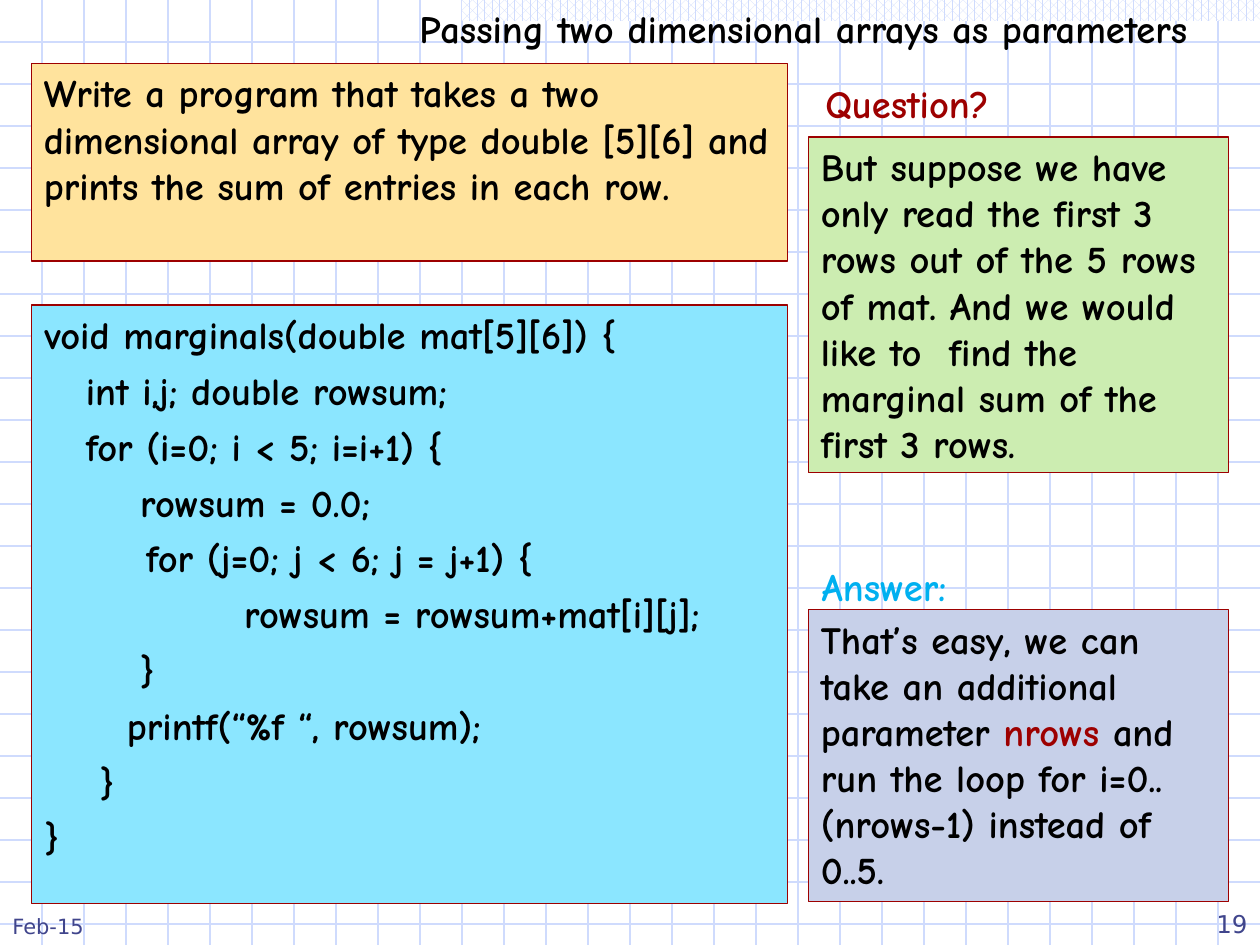
from dataclasses import dataclass

import lxml.etree
import pptx
import pptx.dml.color
import pptx.enum.dml
import pptx.enum.shapes
import pptx.enum.text
import pptx.oxml.ns
import pptx.util

Pt = pptx.util.Pt
ALIGN = pptx.enum.text.PP_ALIGN
ANCHOR = pptx.enum.text.MSO_ANCHOR
WIDTH, HEIGHT, GRID_STEP = 720, 540, 24
COLORS = {
    "black": "000000", "red": "9D0000", "sky": "00B0F0", "navy": "40458C",
    "code": "8BE6FF", "task": "FFE39D", "question": "CCEDB1",
    "answer": "C7D0E9", "band": "CFDBFD", "white": "FFFFFF",
}


@dataclass
class Line:
    runs: list[tuple[str, str]]
    indent: float = 0
    before: float = 0


@dataclass
class Box:
    left: float
    top: float
    width: float
    height: float
    lines: list[Line]
    fill: str | None = None
    size: float = 22
    font: str = "Comic Neue"
    bold: bool = True
    align: ALIGN = ALIGN.LEFT
    anchor: ANCHOR = ANCHOR.TOP


def rgb(name: str) -> pptx.dml.color.RGBColor:
    """Return the named colour."""
    return pptx.dml.color.RGBColor.from_string(COLORS[name])


def text(words: str, color: str = "black") -> list[Line]:
    """Return a single paragraph in one colour."""
    return [Line([(words, color)])]


def add_rect(s, left: float, top: float, width: float, height: float):
    """Add a rectangle without a shadow."""
    sp = s.shapes.add_shape(pptx.enum.shapes.MSO_SHAPE.RECTANGLE,
                            Pt(left), Pt(top), Pt(width), Pt(height))
    sp.shadow.inherit = False
    return sp


def add_grid_line(s, x1: float, y1: float, x2: float, y2: float) -> None:
    """Draw one line of the background grid."""
    line = s.shapes.add_connector(pptx.enum.shapes.MSO_CONNECTOR.STRAIGHT,
                                  Pt(x1), Pt(y1), Pt(x2), Pt(y2))
    line.line.color.rgb = rgb("band")
    line.line.width = Pt(0.75)
    lxml.etree.SubElement(line._element.spPr, pptx.oxml.ns.qn("a:effectLst"))


def add_grid(s) -> None:
    """Draw the background grid across the slide."""
    for y in range(GRID_STEP, HEIGHT, GRID_STEP):
        add_grid_line(s, 0, y, WIDTH, y)
    for x in range(GRID_STEP, WIDTH, GRID_STEP):
        add_grid_line(s, x, 0, x, HEIGHT)


def add_band(s) -> None:
    """Draw the patterned band along the top edge."""
    sp = add_rect(s, 264, 0, 456, 12)
    sp.fill.patterned()
    sp.fill.pattern = pptx.enum.dml.MSO_PATTERN.PERCENT_60
    sp.fill.fore_color.rgb = rgb("band")
    sp.fill.back_color.rgb = rgb("white")
    sp.line.fill.background()


def add_box(s, box: Box) -> None:
    """Draw a framed panel or a plain text box."""
    place = box.left, box.top, box.width, box.height
    if box.fill:
        sp = add_rect(s, *place)
        sp.fill.solid()
        sp.fill.fore_color.rgb = rgb(box.fill)
        sp.line.color.rgb = rgb("red")
        sp.line.width = Pt(0.75)
    else:
        sp = s.shapes.add_textbox(*map(Pt, place))
    tf = sp.text_frame
    tf.word_wrap = True
    tf.vertical_anchor = box.anchor
    for i, line in enumerate(box.lines):
        p = tf.add_paragraph() if i else tf.paragraphs[0]
        p.alignment = box.align
        p.space_before = Pt(line.before)
        p.font.size, p.font.name, p.font.bold = Pt(box.size), box.font, box.bold
        if line.indent:
            p._p.get_or_add_pPr().set("marL", str(Pt(line.indent)))
        for words, color in line.runs:
            r = p.add_run()
            r.text = words
            r.font.color.rgb = rgb(color)


CODE = [
    (0.5, "void marginals(double mat[5][6]) {"),
    (24, "int i,j; double rowsum;"),
    (24, "for (i=0; i < 5; i=i+1) {"),
    (55, "rowsum = 0.0;"),
    (58.5, "for (j=0; j < 6; j = j+1) {"),
    (114.5, "rowsum = rowsum+mat[i][j];"),
    (55, "}"),
    (47.5, "printf(“%f “, rowsum);"),
    (32, "}"),
    (0.5, "}"),
]
TASK = ("Write a program that takes a two dimensional array of type double "
        "[5][6] and prints the sum of entries in each row.")
QUESTION = ("But suppose we have only read the first 3 rows out of the 5 rows "
            "of mat. And we would like to  find the marginal sum of the first "
            "3 rows.")
ANSWER = [Line([
    ("That’s easy, we can take an additional parameter ", "black"),
    ("nrows ", "red"),
    ("and run the loop for i=0..(nrows-1) instead of 0..5.", "black"),
])]
FOOTER = dict(font="DejaVu Sans", bold=False, anchor=ANCHOR.BOTTOM)
BOXES = [
    Box(198, -1, 522, 34, text("Passing two dimensional arrays as parameters"),
        align=ALIGN.CENTER, anchor=ANCHOR.MIDDLE),
    Box(18, 174.25, 432, 342,
        [Line([(words, "black")], indent, 5.5) for indent, words in CODE], "code"),
    Box(18, 36.2, 432, 113, text(TASK), "task"),
    Box(462, 78.2, 240, 192, text(QUESTION), "question"),
    Box(462, 348.2, 240, 167.2, ANSWER, "answer"),
    Box(464.5, 42, 120, 34, text("Question?", "red")),
    Box(462.5, 318, 100, 34, text("Answer:", "sky")),
    Box(0, 504, 150, 36, text("Feb-15", "navy"), size=12, **FOOTER),
    Box(570, 504, 150, 36, text("19", "navy"), size=14, align=ALIGN.RIGHT, **FOOTER),
]


def main() -> None:
    """Build the slide and save it."""
    prs = pptx.Presentation()
    prs.slide_width, prs.slide_height = Pt(WIDTH), Pt(HEIGHT)
    s = prs.slides.add_slide(prs.slide_layouts[6])
    add_grid(s)
    add_band(s)
    for box in BOXES:
        add_box(s, box)
    prs.save("out.pptx")


if __name__ == "__main__":
    main()
